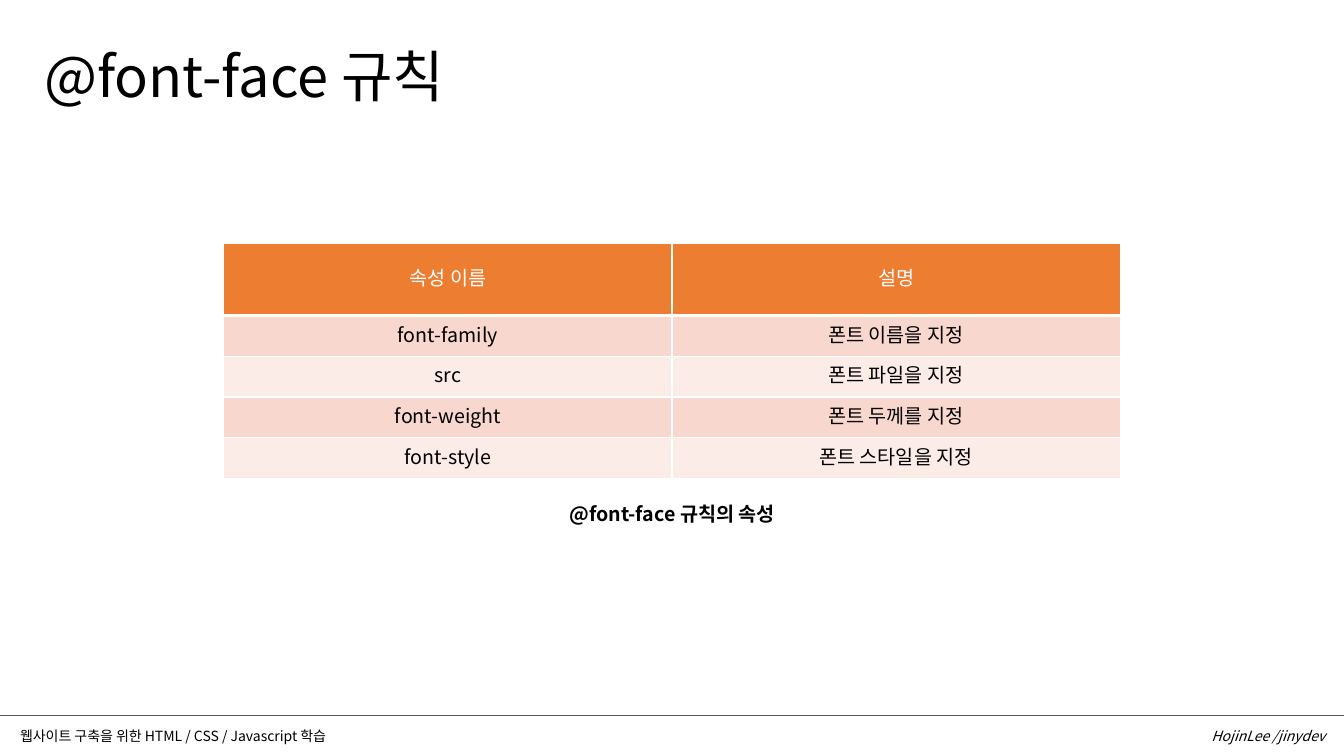
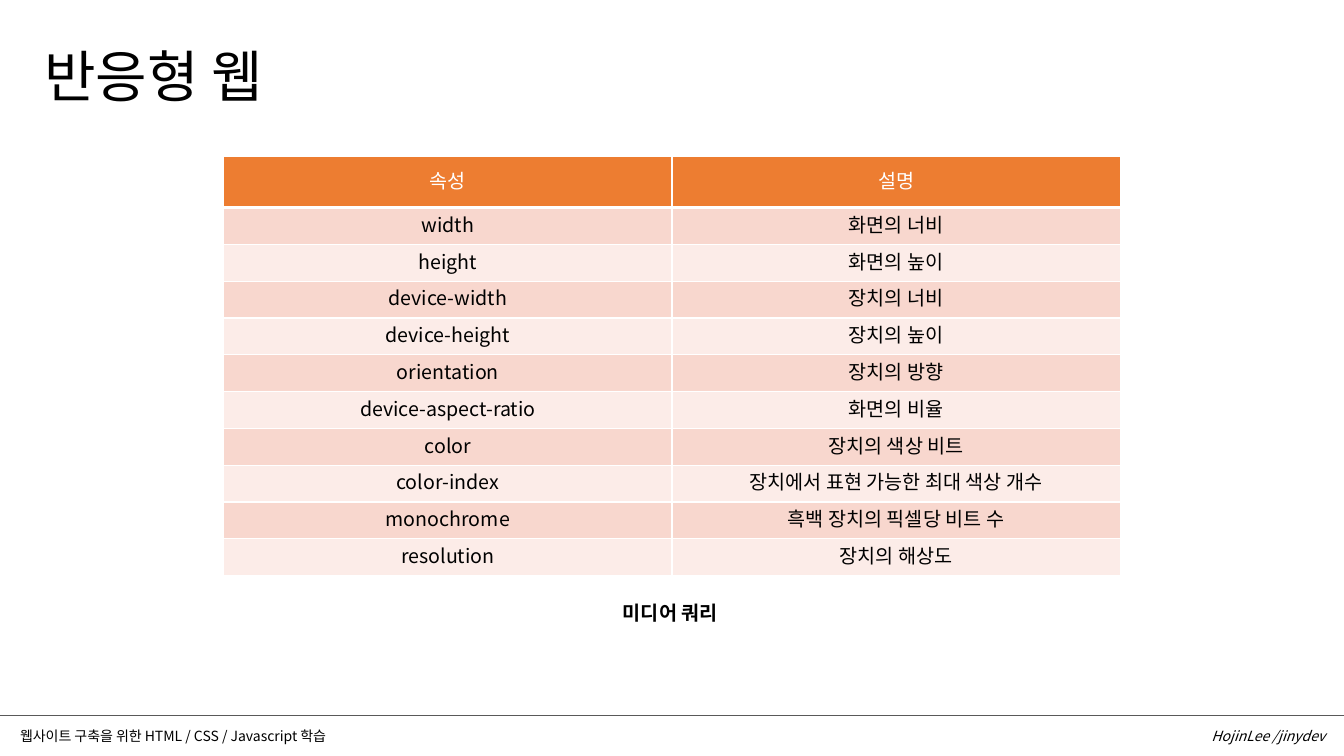
import dataclasses

import lxml.etree
import pptx
import pptx.dml.color
import pptx.enum.text
import pptx.oxml.ns
import pptx.util

Inches = pptx.util.Inches
Pt = pptx.util.Pt
qn = pptx.oxml.ns.qn
ALIGN = pptx.enum.text.PP_ALIGN
ANCHOR = pptx.enum.text.MSO_ANCHOR


@dataclasses.dataclass(frozen=True)
class Theme:
    font: str = "Noto Sans CJK KR"
    ink: str = "000000"
    white: str = "FFFFFF"
    head: str = "ED7D31"
    bands: tuple = ("F8D7CE", "FCECE8")
    rule: str = "595959"
    title: int = 40
    body: int = 14
    foot: int = 10
    leading: float = 1.22


THEME = Theme()
WIDE, HIGH = 13.33, 7.5

SLIDES = [
    {
        "title": "@font-face 규칙",
        "box": (2.22, 2.41, 8.89, 2.34),
        "head": 0.72,
        "rows": [
            ("속성 이름", "설명"),
            ("font-family", "폰트 이름을 지정"),
            ("src", "폰트 파일을 지정"),
            ("font-weight", "폰트 두께를 지정"),
            ("font-style", "폰트 스타일을 지정"),
        ],
        "note": "@font-face 규칙의 속성",
        "place": (5.55, 4.93, 2.24, 0.34),
    },
    {
        "title": "반응형 웹",
        "box": (2.22, 1.55, 8.89, 4.16),
        "head": 0.51,
        "rows": [
            ("속성", "설명"),
            ("width", "화면의 너비"),
            ("height", "화면의 높이"),
            ("device-width", "장치의 너비"),
            ("device-height", "장치의 높이"),
            ("orientation", "장치의 방향"),
            ("device-aspect-ratio", "화면의 비율"),
            ("color", "장치의 색상 비트"),
            ("color-index", "장치에서 표현 가능한 최대 색상 개수"),
            ("monochrome", "흑백 장치의 픽셀당 비트 수"),
            ("resolution", "장치의 해상도"),
        ],
        "note": "미디어 쿼리",
        "place": (6.08, 5.91, 1.2, 0.34),
    },
]


def rgb(code):
    return pptx.dml.color.RGBColor.from_string(code)


def assign(item, values):
    for name, value in values.items():
        setattr(item, name, value)


def write(frame, text, size, color=THEME.ink, align=ALIGN.LEFT, **style):
    """Fill a text frame with one styled paragraph."""
    para = frame.paragraphs[0]
    assign(para, {"alignment": align,
                  "line_spacing": Pt(round(size * THEME.leading, 1))})
    run = para.add_run()
    run.text = text
    assign(run.font, {"name": THEME.font, "size": Pt(size),
                      "bold": False, **style})
    run.font.color.rgb = rgb(color)
    east = lxml.etree.SubElement(run.font._element, qn("a:ea"))
    east.set("typeface", THEME.font)


def add_text(slide, box, text, size, **style):
    shape = slide.shapes.add_textbox(*map(Inches, box))
    shape.text_frame.word_wrap = True
    write(shape.text_frame, text, size, **style)


def add_title(slide, box, text):
    title = slide.shapes.title
    assign(title, dict(zip(("left", "top", "width", "height"),
                           map(Inches, box))))
    assign(title.text_frame, {
        "auto_size": pptx.enum.text.MSO_AUTO_SIZE.NONE,
        "vertical_anchor": ANCHOR.TOP, "word_wrap": True})
    write(title.text_frame, text, THEME.title)


def edge(cell, base):
    """Draw white cell borders; base is the bottom width in points."""
    props = cell._tc.get_or_add_tcPr()
    for side, width in {"L": 1, "R": 1, "T": 1, "B": base}.items():
        line = lxml.etree.SubElement(props, qn("a:ln" + side), w=str(Pt(width)))
        fill = lxml.etree.SubElement(line, qn("a:solidFill"))
        lxml.etree.SubElement(fill, qn("a:srgbClr"), val=THEME.white)


def add_grid(slide, box, rows, head):
    """Place a table whose body rows share the height below the head."""
    left, top, width, height = box
    count = len(rows[0])
    table = slide.shapes.add_table(
        len(rows), count, *map(Inches, box)).table
    for column in table.columns:
        column.width = Inches(width / count)
    step = (height - head) / (len(rows) - 1)
    for i, texts in enumerate(rows):
        first = i == 0
        table.rows[i].height = Inches(head if first else step)
        for j, text in enumerate(texts):
            cell = table.cell(i, j)
            edge(cell, 3 if first else 1)
            cell.fill.solid()
            cell.fill.fore_color.rgb = rgb(
                THEME.head if first else THEME.bands[(i - 1) % 2])
            assign(cell, {"vertical_anchor": ANCHOR.MIDDLE,
                          "margin_top": Inches(0.05),
                          "margin_bottom": Inches(0.05)})
            write(cell.text_frame, text, THEME.body,
                  THEME.white if first else THEME.ink, ALIGN.CENTER)


def add_foot(slide, box):
    left, top, width, height = box
    rule = slide.shapes.add_connector(
        pptx.enum.shapes.MSO_CONNECTOR.STRAIGHT,
        *map(Inches, (left, top, left + width, top)))
    rule.line.color.rgb = rgb(THEME.rule)
    rule.line.width = Pt(0.5)
    lxml.etree.SubElement(rule._element.spPr, qn("a:effectLst"))
    line = top + 0.07
    add_text(slide, (left + width - 3.18, line, 3.09, 0.27),
             "HojinLee /jinydev", THEME.foot, align=ALIGN.RIGHT, italic=True)
    add_text(slide, (left + 0.1, line, 4.21, 0.27),
             "웹사이트 구축을 위한 HTML / CSS / Javascript 학습", THEME.foot)


def add_page(deck, data):
    slide = deck.slides.add_slide(deck.slide_layouts[5])
    add_title(slide, (0.34, 0.35, 6.67, 0.77), data["title"])
    add_grid(slide, data["box"], data["rows"], data["head"])
    add_text(slide, data["place"], data["note"], THEME.body, bold=True)
    add_foot(slide, (0, 7.1, WIDE, HIGH - 7.1))


def main():
    deck = pptx.Presentation()
    assign(deck, {"slide_width": Inches(WIDE), "slide_height": Inches(HIGH)})
    for data in SLIDES:
        add_page(deck, data)
    deck.save("out.pptx")


if __name__ == "__main__":
    main()
